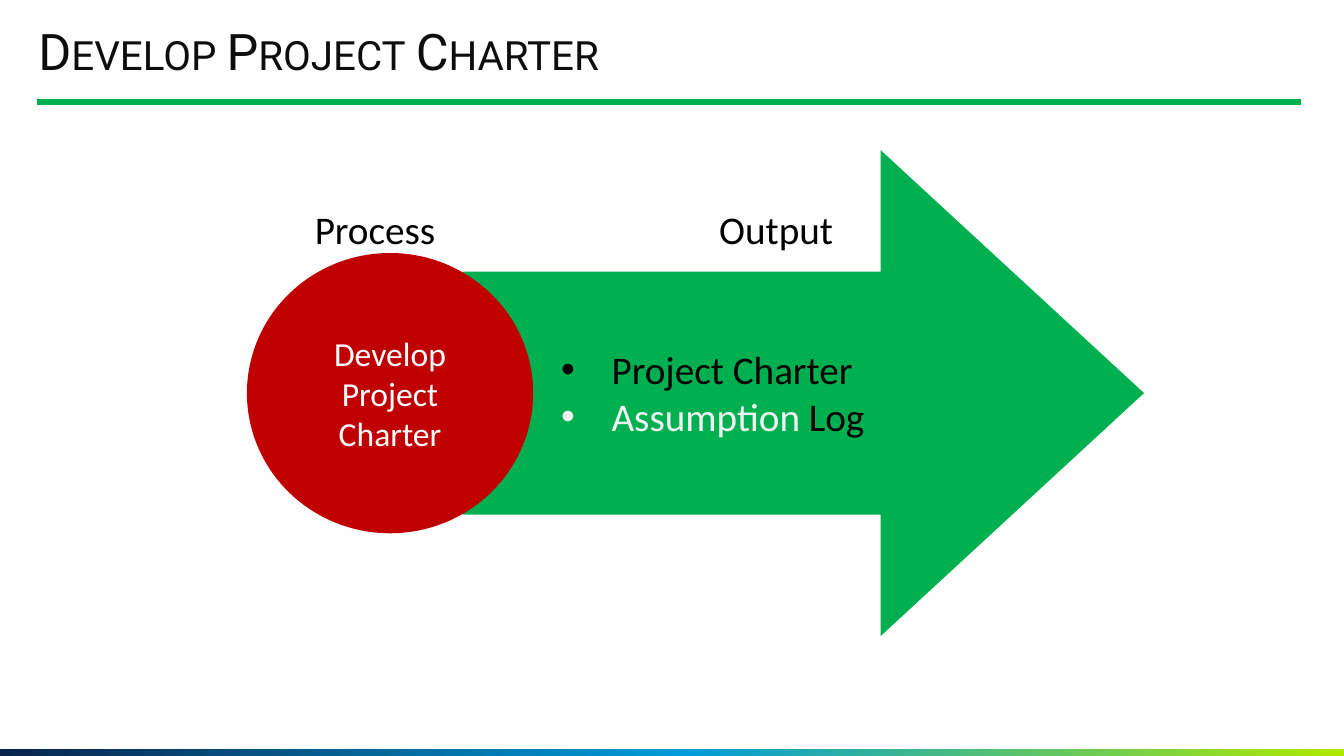
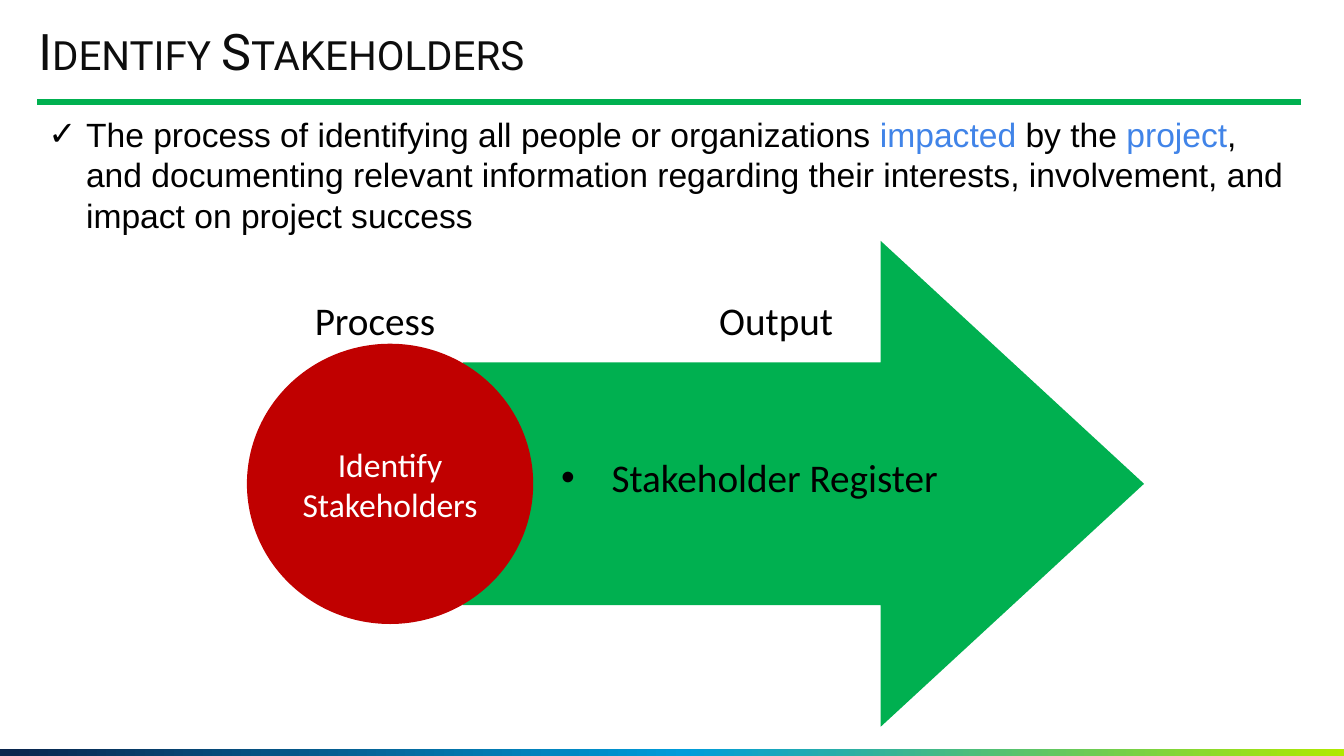
"""Build two slides that show a project process and its outputs."""
from copy import deepcopy

from lxml import etree
from pptx import Presentation
from pptx.dml.color import RGBColor
from pptx.enum.shapes import MSO_CONNECTOR, MSO_SHAPE
from pptx.enum.text import MSO_ANCHOR, PP_ALIGN
from pptx.oxml.ns import qn
from pptx.util import Pt

ARROW, OVAL, RECT = MSO_SHAPE.RIGHT_ARROW, MSO_SHAPE.OVAL, MSO_SHAPE.RECTANGLE
LINE = MSO_CONNECTOR.STRAIGHT
CENTER, LEFT = PP_ALIGN.CENTER, PP_ALIGN.LEFT
MIDDLE = MSO_ANCHOR.MIDDLE

HEX = {"green": "00B050", "red": "C00000", "ink": "0D0D0D", "black": "000000",
       "white": "FFFFFF", "pale": "F2F2F2", "link": "4184E8",
       "navy": "09244C", "sky": "009CDA", "lime": "B0E900"}
BAND = [(0, "navy"), (0.51, "sky"), (1, "lime")]
LABELS = [("Process", 206), ("Output", 492.5)]

SLIDES = [
    {"title": "Develop Project Charter", "top": 107.3, "intro": [],
     "list_top": 243.4, "list_high": 75,
     "outputs": [[("Project Charter", "black")],
                 [("Assumption", "pale"), (" Log", "black")]]},
    {"title": "Identify Stakeholders", "top": 172.1,
     "intro": [("The process of identifying all people or organizations ", "black"),
               ("impacted", "link"), (" by the ", "black"), ("project", "link"),
               (", and documenting relevant information regarding their interests, "
                "involvement, and impact on project success", "black")],
     "list_top": 320.4, "list_high": 41,
     "outputs": [[("Stakeholder Register", "black")]]},
]


def color(name):
    return RGBColor.from_string(HEX[name])


def write(frame, paras, font, size, align=LEFT, mark=None, dent=0):
    frame.word_wrap = True
    for i, runs in enumerate(paras):
        para = frame.paragraphs[0] if i == 0 else frame.add_paragraph()
        para.alignment = align
        if mark:
            props = para._p.get_or_add_pPr()
            props.set("marL", str(Pt(dent)))
            props.set("indent", str(-Pt(dent)))
            etree.SubElement(props, qn("a:buFont")).set("typeface", "Arial")
            etree.SubElement(props, qn("a:buChar")).set("char", mark)
        for text, tint in runs:
            run = para.add_run()
            run.text = text
            run.font.name, run.font.size = font, Pt(size)
            run.font.color.rgb = color(tint)


def add_text(slide, box, paras, font, size, **style):
    frame = slide.shapes.add_textbox(*map(Pt, box)).text_frame
    write(frame, paras, font, size, **style)
    return frame


def add_shape(slide, kind, box, fill=None):
    shape = slide.shapes.add_shape(kind, *map(Pt, box))
    shape.shadow.inherit = False
    shape.line.fill.background()
    if fill:
        shape.fill.solid()
        shape.fill.fore_color.rgb = color(fill)
    return shape


def add_frame(slide, title):
    band = add_shape(slide, RECT, (0, 535, 960, 5))
    band.fill.gradient()
    band.fill.gradient_angle = 0
    stops = band._element.spPr.find(".//" + qn("a:gsLst"))
    stops.insert(1, deepcopy(stops[0]))
    for stop, (place, tint) in zip(band.fill.gradient_stops, BAND):
        stop.position = place
        stop.color.rgb = color(tint)

    rule = slide.shapes.add_connector(LINE, Pt(26.6), Pt(72.7), Pt(929.5), Pt(72.7))
    rule.line.color.rgb = color("green")
    rule.line.width = Pt(4.5)
    etree.SubElement(rule._element.spPr, qn("a:effectLst"))

    frame = add_text(slide, (27.4, 19.4, 805.7, 39.6), [[(title, "ink")]], "Roboto", 36)
    frame.margin_left = frame.margin_right = frame.margin_top = frame.margin_bottom = 0
    para = frame.paragraphs[0]
    para.line_spacing = 0.9
    para.runs[0].font._element.set("cap", "small")


def add_flow(slide, data):
    top = data["top"]
    arrow = add_shape(slide, ARROW, (330.5, top, 486.7, 347), "green")
    arrow.adjustments[0], arrow.adjustments[1] = 0.5, 0.542
    disc = add_shape(slide, OVAL, (176.4, top + 73.4, 204.5, 200.2), "red")
    disc.text_frame.vertical_anchor = MIDDLE
    write(disc.text_frame, [[(data["title"], "white")]], "Calibri", 24, CENTER)
    for text, left in LABELS:
        add_text(slide, (left, top + 36, 123.8, 41), [[(text, "black")]],
                 "Calibri", 28, align=CENTER)
    add_text(slide, (393.8, data["list_top"], 321, data["list_high"]),
             data["outputs"], "Calibri", 28, mark="•", dent=36)


def main():
    deck = Presentation()
    deck.slide_width, deck.slide_height = Pt(960), Pt(540)
    for data in SLIDES:
        slide = deck.slides.add_slide(deck.slide_layouts[6])
        add_frame(slide, data["title"])
        if data["intro"]:
            add_text(slide, (27.4, 77.8, 902.2, 94.3), [data["intro"]],
                     "Arial", 24, mark="✓", dent=27)
        add_flow(slide, data)
    deck.save("out.pptx")


if __name__ == "__main__":
    main()
